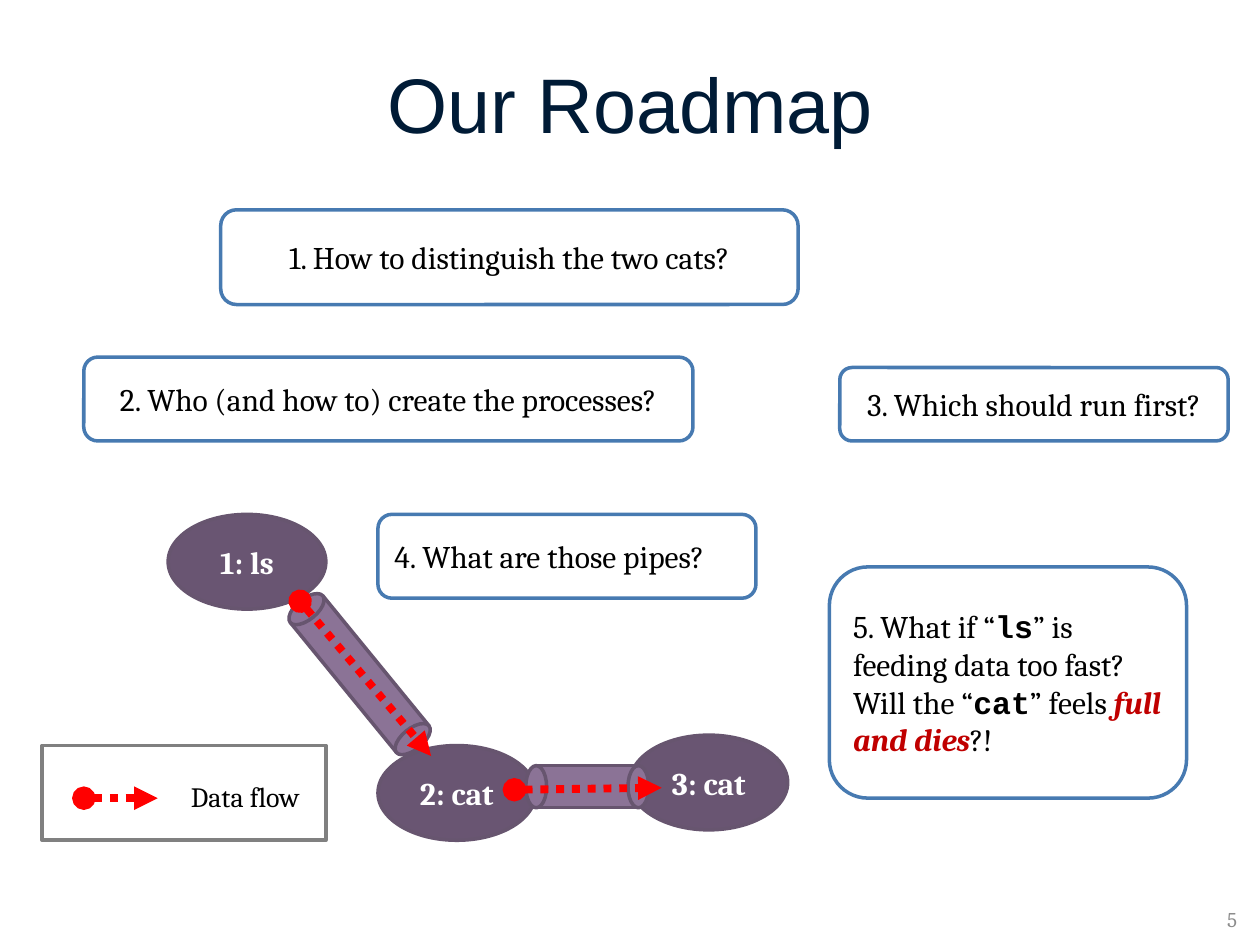
import math

from pptx import Presentation
from pptx import util as u
from pptx.dml.color import RGBColor
from pptx.enum import dml, shapes, text
from pptx.oxml.ns import qn
from lxml import etree

COLORS = {
    "white": "FFFFFF", "black": "000000", "title": "001B36", "number": "8C8C8C",
    "node": "695572", "pipe": "8B7396", "edge": "67556F", "flow": "FF0000",
    "question": "477AB1", "legend": "808080", "alarm": "C00000",
}
LEFT, CENTER, RIGHT = text.PP_ALIGN.LEFT, text.PP_ALIGN.CENTER, text.PP_ALIGN.RIGHT
BODY = {"name": "Cambria", "size": u.Pt(18), "color": "black"}
CODE = {**BODY, "name": "Courier New", "bold": True}
ALARM = {**BODY, "color": "alarm", "bold": True, "italic": True}
NODE = {**BODY, "color": "white", "bold": True}

# All positions are in centimetres: left, top, width, height
TITLE = ("Our Roadmap", (1.27, 0.76, 22.86, 2.62),
         {"name": "Arial", "size": u.Pt(44.2), "color": "title"})
SLIDE_NUMBER = ("5", (19.26, 18.2, 5.93, 0.64),
                {**BODY, "size": u.Pt(12), "color": "number"})
LEGEND = (0.85, 15.03, 5.72, 1.91)
LEGEND_LABEL = ("Data flow", (3.6, 15.58, 2.73, 0.93), {**BODY, "size": u.Pt(16)})

NODE_SIZE = (3.18, 1.91)
NODES = [("1: ls", (3.39, 10.37)), ("3: cat", (12.7, 14.82)), ("2: cat", (7.62, 15.03))]

# Start x, start y, end x, end y
PIPES = [(6.18, 12.28, 8.32, 14.9), (10.81, 15.86, 12.87, 15.86)]
PIPE_THICKNESS, CAP_WIDTH = 0.85, 0.42
FLOWS = [(6.05, 12.12, 8.69, 15.24), (10.37, 15.92, 13.34, 15.88),
         (1.69, 16.09, 3.18, 16.09)]

QUESTIONS = [
    ((4.45, 4.23, 11.64, 1.91), CENTER, [("1. How to distinguish the two cats?", BODY)]),
    ((1.69, 7.2, 12.28, 1.69), CENTER, [("2. Who (and how to) create the processes?", BODY)]),
    ((16.93, 7.41, 7.83, 1.48), CENTER, [("3. Which should run first?", BODY)]),
    ((16.72, 11.43, 7.2, 4.66), LEFT, [
        ("5. What if “", BODY), ("ls", CODE),
        ("” is feeding data too fast? Will the “", BODY), ("cat", CODE),
        ("” feels", BODY), (" full and dies", ALARM), ("?!", BODY)]),
    ((7.62, 10.37, 7.62, 1.69), LEFT, [("4. What are those pipes?", BODY)]),
]


def rgb(name):
    return RGBColor.from_string(COLORS[name])


def lengths(values):
    return [u.Cm(value) for value in values]


def write(shape, runs, align, wrap=True):
    frame = shape.text_frame
    frame.word_wrap = wrap
    frame.vertical_anchor = text.MSO_ANCHOR.MIDDLE
    paragraph = frame.paragraphs[0]
    paragraph.alignment = align
    for words, style in runs:
        run = paragraph.add_run()
        run.text = words
        for key, value in style.items():
            if key == "color":
                run.font.color.rgb = rgb(value)
            else:
                setattr(run.font, key, value)


def add_box(slide, kind, box, fill, line):
    shape = slide.shapes.add_shape(kind, *lengths(box))
    shape.shadow.inherit = False
    shape.fill.solid()
    shape.fill.fore_color.rgb = rgb(fill)
    shape.line.color.rgb = rgb(line)
    shape.line.width = u.Pt(2)
    return shape


def add_label(slide, content, align, wrap):
    words, box, style = content
    write(slide.shapes.add_textbox(*lengths(box)), [(words, style)], align, wrap)


def add_pipe(slide, x1, y1, x2, y2):
    """Draw a tube between two points: a turned rectangle, then a cap at each end."""
    length = math.hypot(x2 - x1, y2 - y1)
    angle = math.degrees(math.atan2(y2 - y1, x2 - x1))
    kinds = shapes.MSO_SHAPE
    parts = [(kinds.RECTANGLE, (x1 + x2) / 2, (y1 + y2) / 2, length),
             (kinds.OVAL, x1, y1, CAP_WIDTH), (kinds.OVAL, x2, y2, CAP_WIDTH)]
    for kind, x, y, width in parts:
        box = (x - width / 2, y - PIPE_THICKNESS / 2, width, PIPE_THICKNESS)
        add_box(slide, kind, box, "pipe", "edge").rotation = angle


def add_flow(slide, ends):
    flow = slide.shapes.add_connector(shapes.MSO_CONNECTOR.STRAIGHT, *lengths(ends))
    flow.line.color.rgb = rgb("flow")
    flow.line.width = u.Pt(4.5)
    flow.line.dash_style = dml.MSO_LINE.ROUND_DOT
    line = flow.line._get_or_add_ln()
    for tag, kind in (("a:headEnd", "oval"), ("a:tailEnd", "triangle")):
        etree.SubElement(line, qn(tag), type=kind)
    etree.SubElement(flow._element.spPr, qn("a:effectLst"))


def main():
    presentation = Presentation()
    presentation.slide_width, presentation.slide_height = u.Cm(25.4), u.Cm(19.05)
    slide = presentation.slides.add_slide(presentation.slide_layouts[5])
    kinds = shapes.MSO_SHAPE

    add_box(slide, kinds.RECTANGLE, LEGEND, "white", "legend")

    words, box, style = TITLE
    title = slide.shapes.title
    title.left, title.top, title.width, title.height = lengths(box)
    write(title, [(words, style)], CENTER)
    add_label(slide, SLIDE_NUMBER, RIGHT, True)

    for words, corner in NODES:
        node = add_box(slide, kinds.OVAL, corner + NODE_SIZE, "node", "edge")
        write(node, [(words, NODE)], CENTER)
    for pipe in PIPES:
        add_pipe(slide, *pipe)
    for ends in FLOWS:
        add_flow(slide, ends)
    add_label(slide, LEGEND_LABEL, LEFT, False)

    for box, align, runs in QUESTIONS:
        question = add_box(slide, kinds.ROUNDED_RECTANGLE, box, "white", "question")
        write(question, runs, align)

    presentation.save("out.pptx")


if __name__ == "__main__":
    main()
